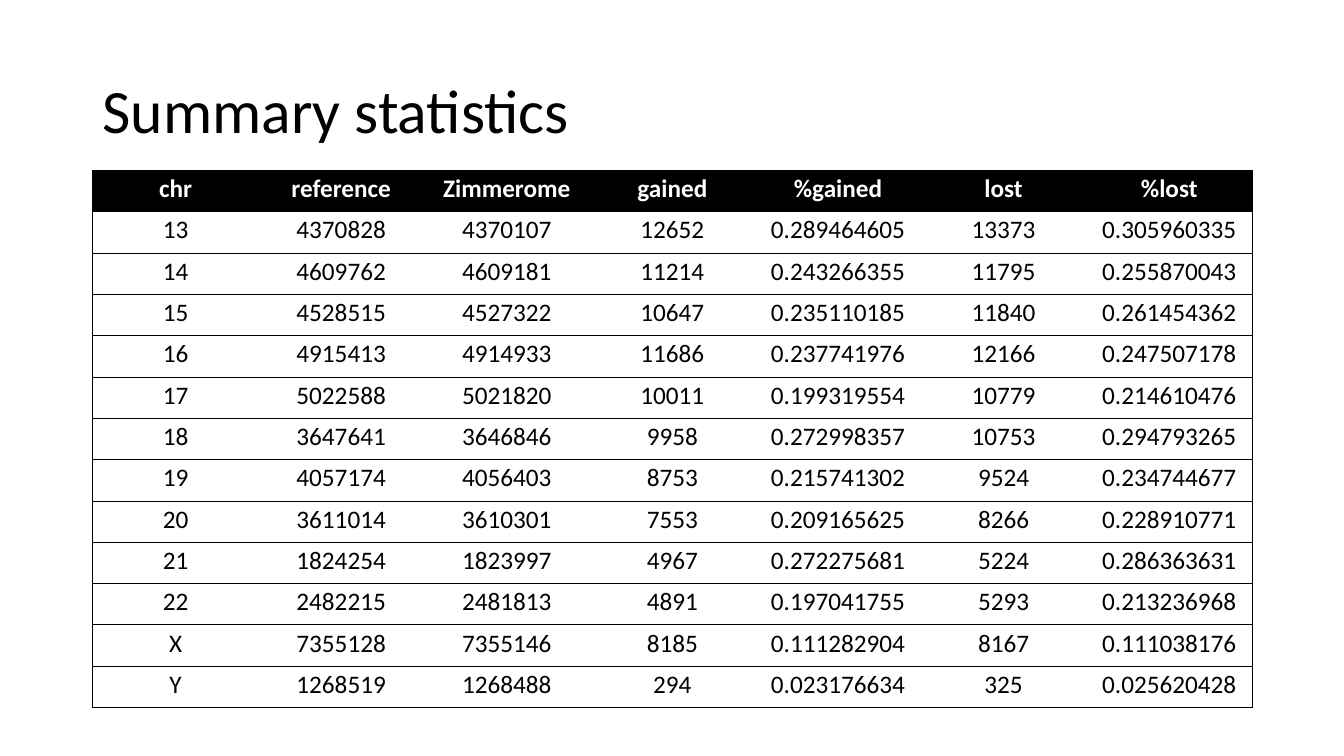
from dataclasses import astuple, dataclass

from lxml.etree import SubElement
from pptx import Presentation
from pptx.dml.color import RGBColor
from pptx.enum.text import MSO_ANCHOR, PP_ALIGN
from pptx.oxml.ns import qn
from pptx.slide import Slide
from pptx.table import _Cell
from pptx.text.text import _Paragraph
from pptx.util import Inches, Pt


@dataclass(frozen=True)
class Theme:
    font: str = "Calibri"
    ink: str = "000000"
    paper: str = "FFFFFF"
    title_size: int = 44
    cell_size: int = 18
    rule_width: float = 0.5


@dataclass(frozen=True)
class Chromosome:
    name: str
    reference: str
    zimmerome: str
    gained: str
    gained_percent: str
    lost: str
    lost_percent: str


THEME = Theme()
LEFT, WIDTH = 0.92, 11.5
TABLE_TOP, ROW_HEIGHT = 1.69, 0.41

HEADINGS = ("chr", "reference", "Zimmerome", "gained", "%gained", "lost", "%lost")
CHROMOSOMES = [
    Chromosome("13", "4370828", "4370107", "12652", "0.289464605", "13373", "0.305960335"),
    Chromosome("14", "4609762", "4609181", "11214", "0.243266355", "11795", "0.255870043"),
    Chromosome("15", "4528515", "4527322", "10647", "0.235110185", "11840", "0.261454362"),
    Chromosome("16", "4915413", "4914933", "11686", "0.237741976", "12166", "0.247507178"),
    Chromosome("17", "5022588", "5021820", "10011", "0.199319554", "10779", "0.214610476"),
    Chromosome("18", "3647641", "3646846", "9958", "0.272998357", "10753", "0.294793265"),
    Chromosome("19", "4057174", "4056403", "8753", "0.215741302", "9524", "0.234744677"),
    Chromosome("20", "3611014", "3610301", "7553", "0.209165625", "8266", "0.228910771"),
    Chromosome("21", "1824254", "1823997", "4967", "0.272275681", "5224", "0.286363631"),
    Chromosome("22", "2482215", "2481813", "4891", "0.197041755", "5293", "0.213236968"),
    Chromosome("X", "7355128", "7355146", "8185", "0.111282904", "8167", "0.111038176"),
    Chromosome("Y", "1268519", "1268488", "294", "0.023176634", "325", "0.025620428"),
]


def format_text(paragraph: _Paragraph, size: int, color: str, bold: bool = False) -> None:
    for span in paragraph.runs:
        span.font.name = THEME.font
        span.font.size = Pt(size)
        span.font.bold = bold
        span.font.color.rgb = RGBColor.from_string(color)


def set_borders(cell: _Cell, ruled_sides: str) -> None:
    """Rule the sides named by L, R, T and B; leave the others clear."""
    properties = cell._tc.get_or_add_tcPr()
    for side in "LRTB":
        line = SubElement(properties, qn(f"a:ln{side}"), w=str(Pt(THEME.rule_width)))
        if side in ruled_sides:
            fill = SubElement(line, qn("a:solidFill"))
            SubElement(fill, qn("a:srgbClr"), val=THEME.ink)
        else:
            SubElement(line, qn("a:noFill"))


def fill_cell(cell: _Cell, text: str, is_heading: bool, ruled_sides: str) -> None:
    cell.margin_left = cell.margin_right = cell.margin_top = Inches(0.01)
    cell.margin_bottom = Inches(0.05)
    cell.vertical_anchor = MSO_ANCHOR.MIDDLE
    set_borders(cell, ruled_sides)
    if is_heading:
        cell.fill.solid()
        cell.fill.fore_color.rgb = RGBColor.from_string(THEME.ink)
    else:
        cell.fill.background()
    cell.text_frame.text = text
    paragraph = cell.text_frame.paragraphs[0]
    paragraph.alignment = PP_ALIGN.CENTER
    format_text(paragraph, THEME.cell_size, THEME.paper if is_heading else THEME.ink, is_heading)


def add_title(page: Slide, text: str) -> None:
    box = page.shapes.add_textbox(Inches(LEFT), Inches(0.4), Inches(WIDTH), Inches(1.45))
    frame = box.text_frame
    frame.word_wrap = True
    frame.vertical_anchor = MSO_ANCHOR.MIDDLE
    frame.text = text
    frame.paragraphs[0].line_spacing = 0.9
    format_text(frame.paragraphs[0], THEME.title_size, THEME.ink)


def add_statistics(page: Slide) -> None:
    rows = [HEADINGS, *map(astuple, CHROMOSOMES)]
    last_column = len(HEADINGS) - 1
    table = page.shapes.add_table(
        len(rows), len(HEADINGS), Inches(LEFT), Inches(TABLE_TOP),
        Inches(WIDTH), Inches(ROW_HEIGHT * len(rows)),
    ).table
    table.horz_banding = False
    for column in table.columns:
        column.width = Inches(WIDTH / len(HEADINGS))
    for row_index, values in enumerate(rows):
        table.rows[row_index].height = Inches(ROW_HEIGHT)
        for column_index, value in enumerate(values):
            # Horizontal rules everywhere, vertical rules on the outer edges
            outer = {0: "L", last_column: "R"}.get(column_index, "")
            fill_cell(table.cell(row_index, column_index), value, row_index == 0, "TB" + outer)


def main() -> None:
    deck = Presentation()
    deck.slide_width, deck.slide_height = Inches(13.33), Inches(7.5)
    page = deck.slides.add_slide(deck.slide_layouts[6])

    # Title
    add_title(page, "Summary statistics")

    # Table of chromosomes
    add_statistics(page)

    deck.save("out.pptx")


if __name__ == "__main__":
    main()
